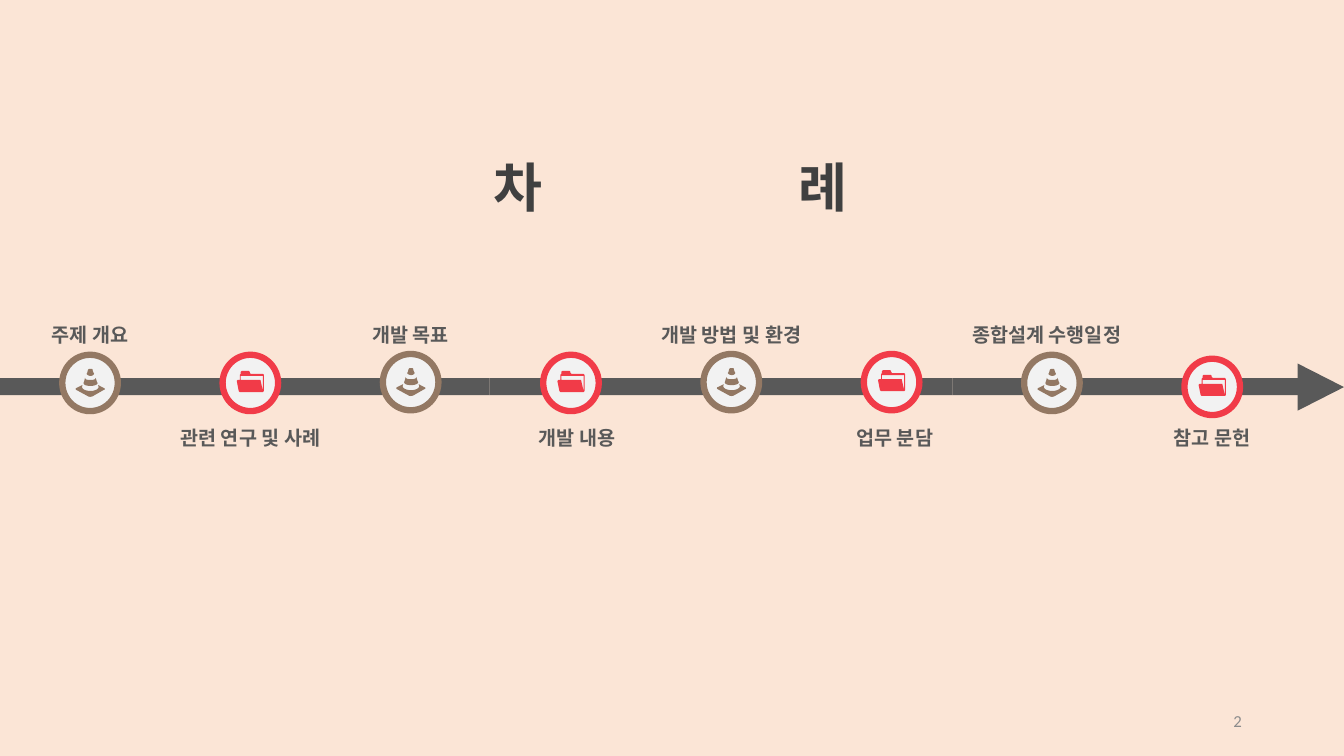
from itertools import pairwise

from lxml import etree
from pptx import Presentation
from pptx.dml.color import RGBColor
from pptx.enum.shapes import MSO_SHAPE as Preset
from pptx.enum.text import MSO_ANCHOR as Anchor, PP_ALIGN as Align
from pptx.oxml.ns import qn
from pptx.util import Cm, Pt

COLORS = {
    "background": "FBE5D6",
    "title": "404040",
    "gray": "595959",
    "disc": "F2F2F2",
    "brown": "937863",
    "red": "F13B48",
    "number": "8C8C8C",
}

# Icon outlines on a grid: two numbers make a line, six make a curve
ICON_UNIT = 0.0254
CONE = [
    [(28, 19), (22.5, 16), (23, 18), (23, 20, 19.5, 22, 15, 22),
     (10, 22, 6.5, 20, 6.5, 18), (7, 16), (1, 19), (0, 19, 0, 21, 1, 21),
     (12, 27), (13, 28, 16, 28, 17.5, 27), (28, 21),
     (29.5, 21, 29.5, 19, 28, 19)],
    [(15, 7), (17, 7, 18, 6, 18.5, 5), (18, 4, 17, 2, 17, 1),
     (17, 0, 16, 0, 15, 0), (14, 0, 13, 0, 12.5, 1),
     (12, 2, 12, 4, 11, 5), (11.5, 6, 13, 7, 15, 7)],
    [(15, 17), (18, 17, 22, 16, 22, 14), (21, 13, 21, 11, 20, 9),
     (20, 11, 17, 11, 15, 11), (12, 11, 10, 11, 9.5, 9),
     (9, 11, 8.5, 13, 8, 14), (8, 16, 11, 17, 15, 17)],
]
FOLDER = [
    [(27, 20), (27, 4), (26, 3), (14, 3), (13, 2), (13, 1), (12, 0), (5, 0),
     (4, 1), (4, 3), (3, 4), (3, 9), (1, 9), (0, 10), (2, 20), (3, 21),
     (26, 21)],
    [(26, 10), (26, 20), (23.5, 9), (4, 9), (4, 5), (26, 5)],
]

# Label, label width, label shift from the marker, marker top (cm)
TOPICS = [
    ("주제 개요", 4.75, 0, 8.94),
    ("관련 연구 및 사례", 5.36, 0, 8.94),
    ("개발 목표", 4.75, 0, 8.92),
    ("개발 내용", 4.75, 0.15, 8.94),
    ("개발 방법 및 환경", 4.75, 0, 8.92),
    ("업무 분담", 5.36, 0.08, 8.92),
    ("종합설계 수행일정", 4.75, -0.13, 8.94),
    ("참고 문헌", 4.75, 0, 9.04),
]
BAR_EDGES = [0, 6.55, 12.34, 18.03, 24, 29.79, 32.71]


def rgb(name):
    return RGBColor.from_string(COLORS[name])


def paint(shape, fill, line=None):
    shape.shadow.inherit = False
    shape.fill.solid()
    shape.fill.fore_color.rgb = rgb(fill)
    if line:
        shape.line.color.rgb = rgb(line)
        shape.line.width = Pt(4.5)
    else:
        shape.line.fill.background()


def add_shape(slide, preset, box, fill, line=None):
    shape = slide.shapes.add_shape(preset, *map(Cm, box))
    paint(shape, fill, line)
    return shape


def add_text(slide, box, text, size, color, font="Calibri", bold=True,
             align=Align.CENTER, anchor=Anchor.TOP):
    shape = slide.shapes.add_textbox(*map(Cm, box))
    frame = shape.text_frame
    frame.word_wrap = True
    frame.vertical_anchor = anchor
    paragraph = frame.paragraphs[0]
    paragraph.alignment = align
    run = paragraph.add_run()
    run.text = text
    run.font.size = Pt(size)
    run.font.name = font
    run.font.bold = bold
    run.font.color.rgb = rgb(color)
    return shape


def trace(outline, steps=6):
    """Turn an outline of lines and cubic curves into points."""
    points = [outline[0]]
    for segment in outline[1:]:
        if len(segment) == 2:
            points.append(segment)
            continue
        corners = [points[-1], segment[:2], segment[2:4], segment[4:]]
        for step in range(1, steps + 1):
            t = step / steps
            weights = ((1 - t) ** 3, 3 * t * (1 - t) ** 2,
                       3 * t * t * (1 - t), t ** 3)
            points.append(tuple(
                sum(w * corner[axis] for w, corner in zip(weights, corners))
                for axis in (0, 1)))
    return points


def add_icon(slide, left, top, outlines, color):
    builder = None
    for outline in outlines:
        points = [(Cm(left + x * ICON_UNIT), Cm(top + y * ICON_UNIT))
                  for x, y in trace(outline)]
        if builder is None:
            builder = slide.shapes.build_freeform(*points[0])
        else:
            builder.move_to(*points[0])
        builder.add_line_segments(points[1:], close=True)
    paint(builder.convert_to_shape(), color)


def add_title(slide, left, top, width, height):
    shape = add_text(slide, (left, top, width, height), "차\t례", 38, "title",
                     font="Arial", align=Align.LEFT, anchor=Anchor.MIDDLE)
    shape.text_frame.margin_left = Cm(8.23)
    paragraph = shape.text_frame.paragraphs[0]
    paragraph.line_spacing = 0.9
    # Tab stop that sets the two syllables apart
    properties = paragraph._p.get_or_add_pPr()
    tabs = etree.SubElement(properties, qn("a:tabLst"))
    etree.SubElement(tabs, qn("a:tab"), pos=str(Cm(7.67)), algn="l")


def add_arrow(slide, left, top, height):
    for start, end in pairwise(BAR_EDGES):
        add_shape(slide, Preset.RECTANGLE,
                  (left + start, top, end - start, height), "gray")
    head = add_shape(slide, Preset.ISOSCELES_TRIANGLE,
                     (left + 32.69, top - 0.36, 1.19, 1.17), "gray")
    head.rotation = 90


def add_marker(slide, center, top, outlines, color):
    width, height = 1.4, 1.42
    add_shape(slide, Preset.OVAL,
              (center - width / 2, top, width, height), "disc", color)
    columns, rows = (29, 28) if outlines is CONE else (27, 24)
    add_icon(slide, center - columns * ICON_UNIT / 2,
             top + (height - rows * ICON_UNIT) / 2, outlines, color)


def add_topics(slide, left, upper, lower, pitch):
    for index, (label, width, shift, marker_top) in enumerate(TOPICS):
        center = left + index * pitch
        above = index % 2 == 0
        add_text(slide, (center + shift - width / 2,
                         upper if above else lower, width, 0.86),
                 label, 14, "gray")
        add_marker(slide, center, marker_top,
                   CONE if above else FOLDER, "brown" if above else "red")


def main():
    presentation = Presentation()
    presentation.slide_width = Cm(33.87)
    presentation.slide_height = Cm(19.05)
    slide = presentation.slides.add_slide(presentation.slide_layouts[6])
    slide.background.fill.solid()
    slide.background.fill.fore_color.rgb = rgb("background")

    # Timeline, title and slide number
    add_arrow(slide, 0, 9.53, 0.43)
    add_topics(slide, 2.27, 8, 10.61, 4.04)
    add_title(slide, 4.22, 3.76, 25.4, 2.08)
    add_text(slide, (23.93, 17.65, 7.62, 1.02), "2", 12, "number",
             bold=False, align=Align.RIGHT, anchor=Anchor.MIDDLE)
    presentation.save("out.pptx")


if __name__ == "__main__":
    main()
